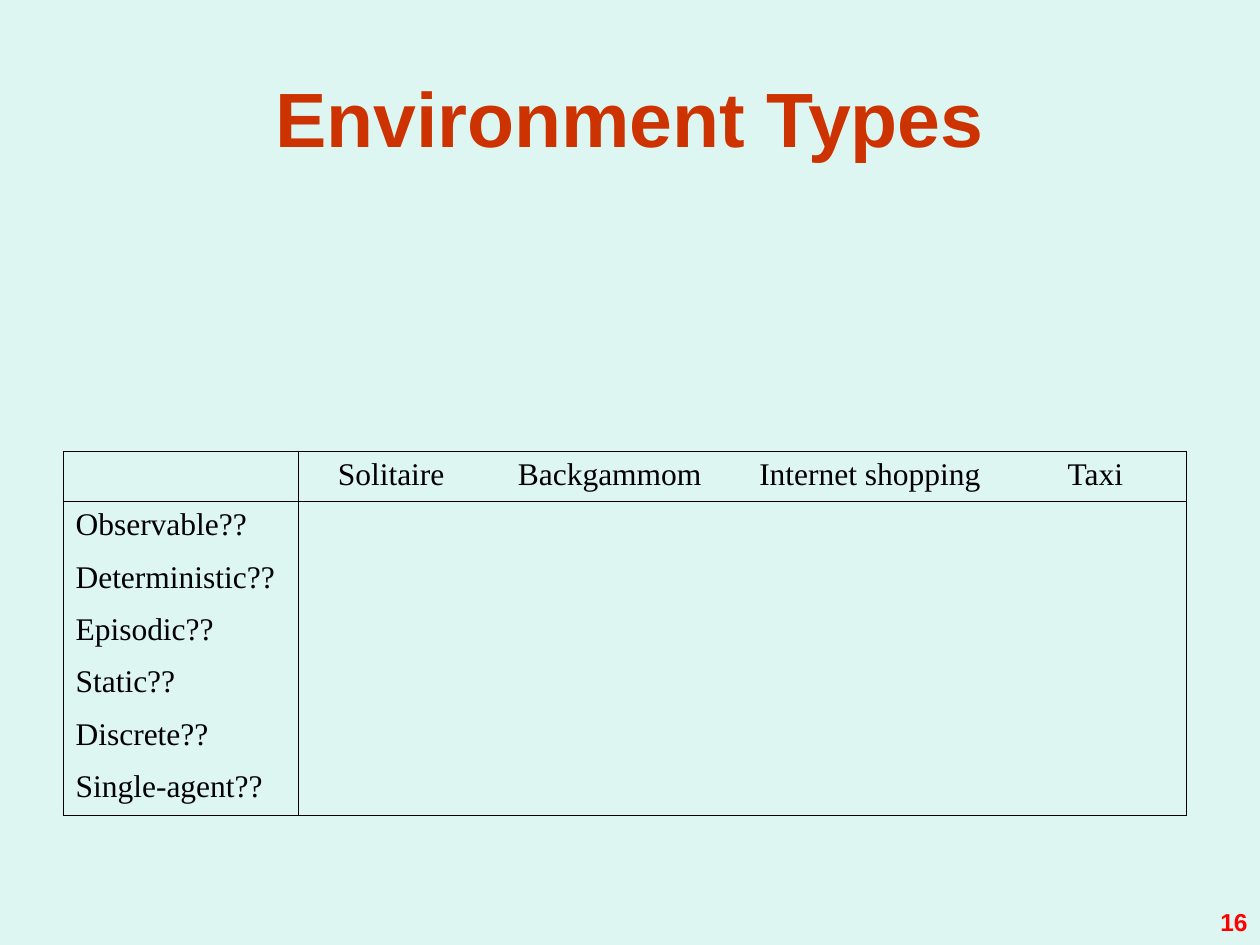
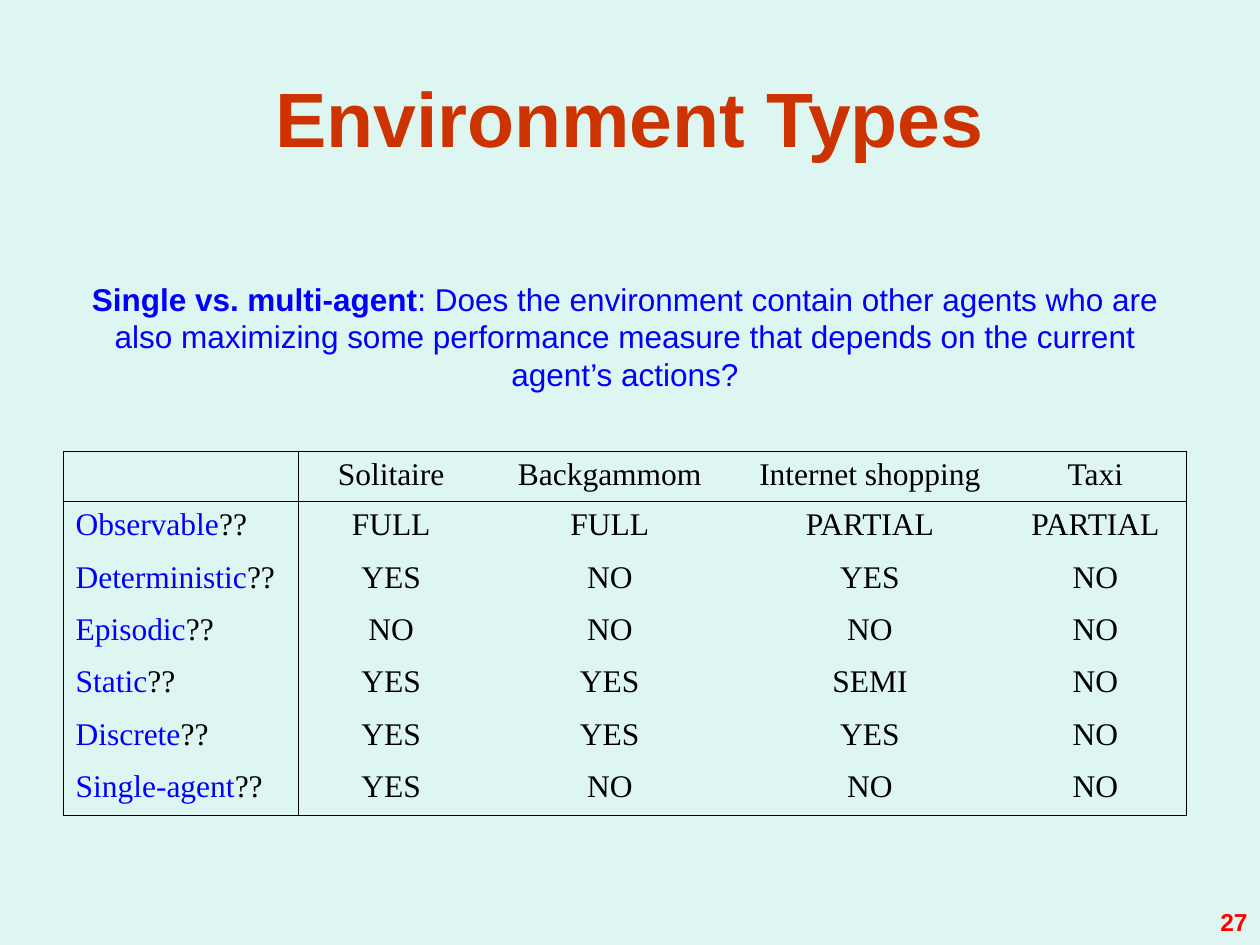
from lxml.etree import SubElement
from pptx import Presentation
from pptx.dml.color import RGBColor
from pptx.enum.text import MSO_ANCHOR, PP_ALIGN
from pptx.oxml.ns import qn
from pptx.util import Inches, Pt

COLORS = {
    "background": "DEF6F1",
    "title": "CC3300",
    "text": "000000",
    "accent": "0000FF",
    "number": "FF0000",
}
SANS, SERIF = "Arial", "Times New Roman"

# Table content
ENVIRONMENTS = ["Solitaire", "Backgammom", "Internet shopping", "Taxi"]
PROPERTIES = {
    "Observable": ["FULL", "FULL", "PARTIAL", "PARTIAL"],
    "Deterministic": ["YES", "NO", "YES", "NO"],
    "Episodic": ["NO", "NO", "NO", "NO"],
    "Static": ["YES", "YES", "SEMI", "NO"],
    "Discrete": ["YES", "YES", "YES", "NO"],
    "Single-agent": ["YES", "NO", "NO", "NO"],
}

# Table geometry, in inches
COL_WIDTHS = [1.87, 1.47, 2, 2.13, 1.45]
LEFT, TABLE_TOP, TABLE_HEIGHT, HEADER_HEIGHT = 0.5, 3.58, 2.89, 0.4
TABLE_WIDTH = sum(COL_WIDTHS)


class Deck:
    """Holds the shared style and the current slide."""

    def __init__(self):
        self.prs = Presentation()
        self.prs.slide_width, self.prs.slide_height = Inches(10), Inches(7.5)
        fill = self.prs.slide_master.background.fill
        fill.solid()
        fill.fore_color.rgb = RGBColor.from_string(COLORS["background"])

    def new_slide(self, title, number):
        self.s = self.prs.slides.add_slide(self.prs.slide_layouts[5])
        sp = self.s.shapes.title
        sp.left, sp.top, sp.width, sp.height = map(Inches, (LEFT, 0.3, 9, 1.25))
        sp.text_frame.vertical_anchor = MSO_ANCHOR.MIDDLE
        self.add_text(sp.text_frame, [(title, "title", True)], 44)
        self.page_number(number)

    def add_text(self, tf, parts, size, font=SANS, align=PP_ALIGN.CENTER):
        """Fill the first paragraph with (text, colour, bold) parts."""
        p = tf.paragraphs[0]
        p.alignment = align
        for text, color, bold in parts:
            r = p.add_run()
            r.text = text
            r.font.name, r.font.size, r.font.bold = font, Pt(size), bold
            r.font.color.rgb = RGBColor.from_string(COLORS[color])

    def text_box(self, box, parts, size, align=PP_ALIGN.CENTER):
        tf = self.s.shapes.add_textbox(*map(Inches, box)).text_frame
        tf.word_wrap = True
        self.add_text(tf, parts, size, align=align)
        return tf

    def page_number(self, number):
        tf = self.text_box((7.67, 6.98, 2.33, 0.52),
                           [(str(number), "number", True)], 14, PP_ALIGN.RIGHT)
        tf.vertical_anchor = MSO_ANCHOR.BOTTOM
        tf.margin_bottom = Inches(0.07)

    def question(self, term, text):
        tf = self.text_box((LEFT, 2.17, TABLE_WIDTH, 1),
                           [(term, "accent", True), (text, "accent", False)], 18)
        tf.margin_left = tf.margin_right = 0

    def borders(self, cell, ruled):
        """Rule the named sides (L, R, T, B) and clear the others."""
        tcPr = cell._tc.get_or_add_tcPr()
        for side in "LRTB":
            ln = SubElement(tcPr, qn(f"a:ln{side}"), w=str(Pt(0.45)))
            if side in ruled:
                fill = SubElement(ln, qn("a:solidFill"))
                SubElement(fill, qn("a:srgbClr"), val=COLORS["text"])
            else:
                SubElement(ln, qn("a:noFill"))
        cell.fill.background()

    def environment_table(self, answered):
        rows, cols = len(PROPERTIES) + 1, len(COL_WIDTHS)
        box = (LEFT, TABLE_TOP, TABLE_WIDTH, TABLE_HEIGHT)
        table = self.s.shapes.add_table(rows, cols, *map(Inches, box)).table
        table.first_row = table.horz_banding = False
        for column, width in zip(table.columns, COL_WIDTHS):
            column.width = Inches(width)
        for row in table.rows:
            row.height = Inches((TABLE_HEIGHT - HEADER_HEIGHT) / (rows - 1))
        table.rows[0].height = Inches(HEADER_HEIGHT)

        # Outer frame, plus rules around the header row and first column
        for i in range(rows):
            for j in range(cols):
                sides = {"L": j < 2, "R": j in (0, cols - 1),
                         "T": i < 2, "B": i in (0, rows - 1)}
                self.borders(table.cell(i, j), [k for k, on in sides.items() if on])

        # Header, property names and answers
        name_color = "accent" if answered else "text"
        self.fill_row(table, 0, ENVIRONMENTS)
        for i, (name, answers) in enumerate(PROPERTIES.items(), 1):
            parts = [(name, name_color, False), ("??", "text", False)]
            self.add_text(table.cell(i, 0).text_frame, parts, 18, SERIF, PP_ALIGN.LEFT)
            if answered:
                self.fill_row(table, i, answers)

    def fill_row(self, table, i, values):
        for j, value in enumerate(values, 1):
            self.add_text(table.cell(i, j).text_frame, [(value, "text", False)], 18, SERIF)


def main():
    deck = Deck()

    # Blank exercise
    deck.new_slide("Environment Types", 16)
    deck.environment_table(answered=False)

    # Completed answers
    deck.new_slide("Environment Types", 27)
    deck.environment_table(answered=True)
    deck.question("Single vs. multi-agent",
                  ": Does the environment contain other agents who are also "
                  "maximizing some performance measure that depends on the "
                  "current agent’s actions?")

    deck.prs.save("out.pptx")


if __name__ == "__main__":
    main()
